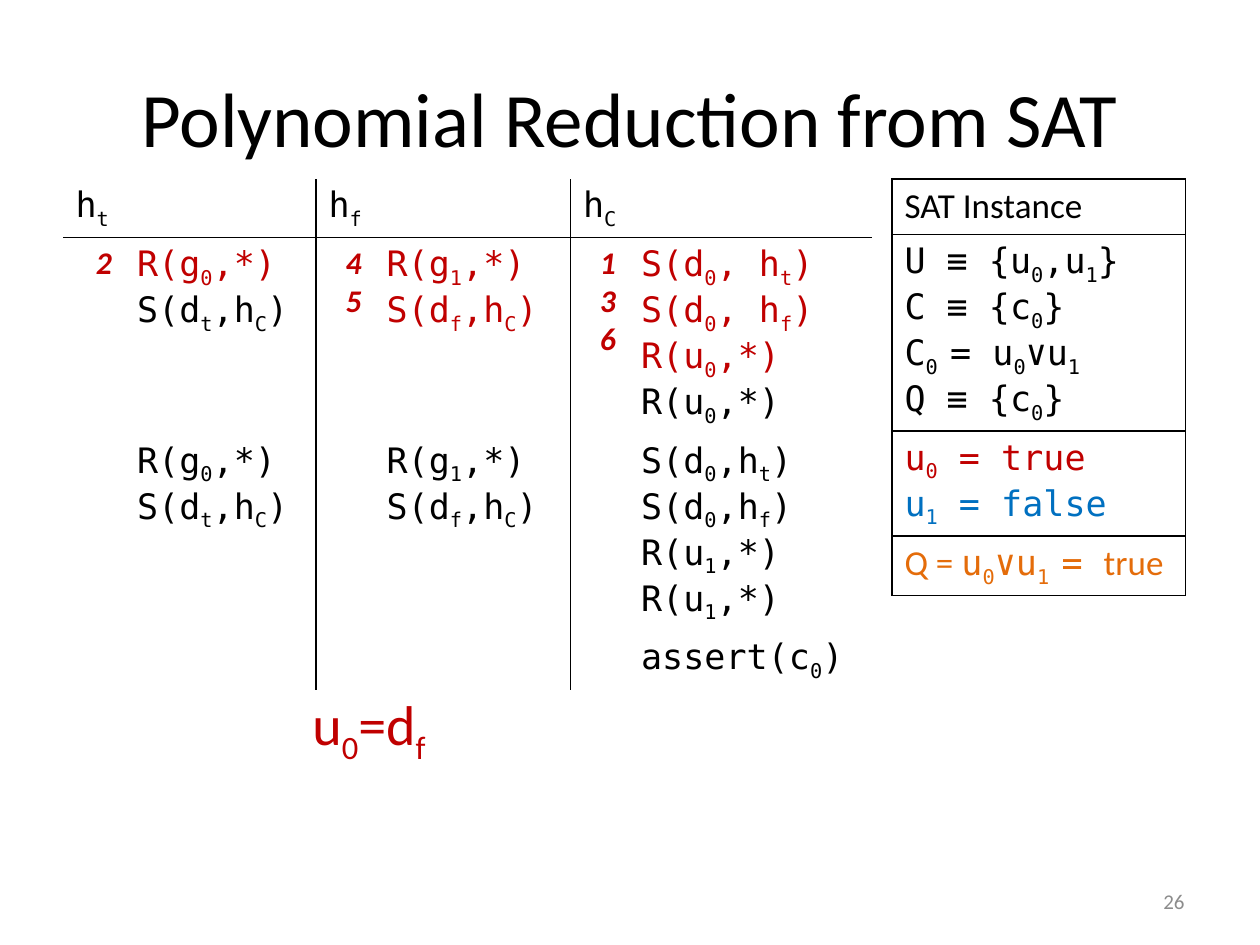
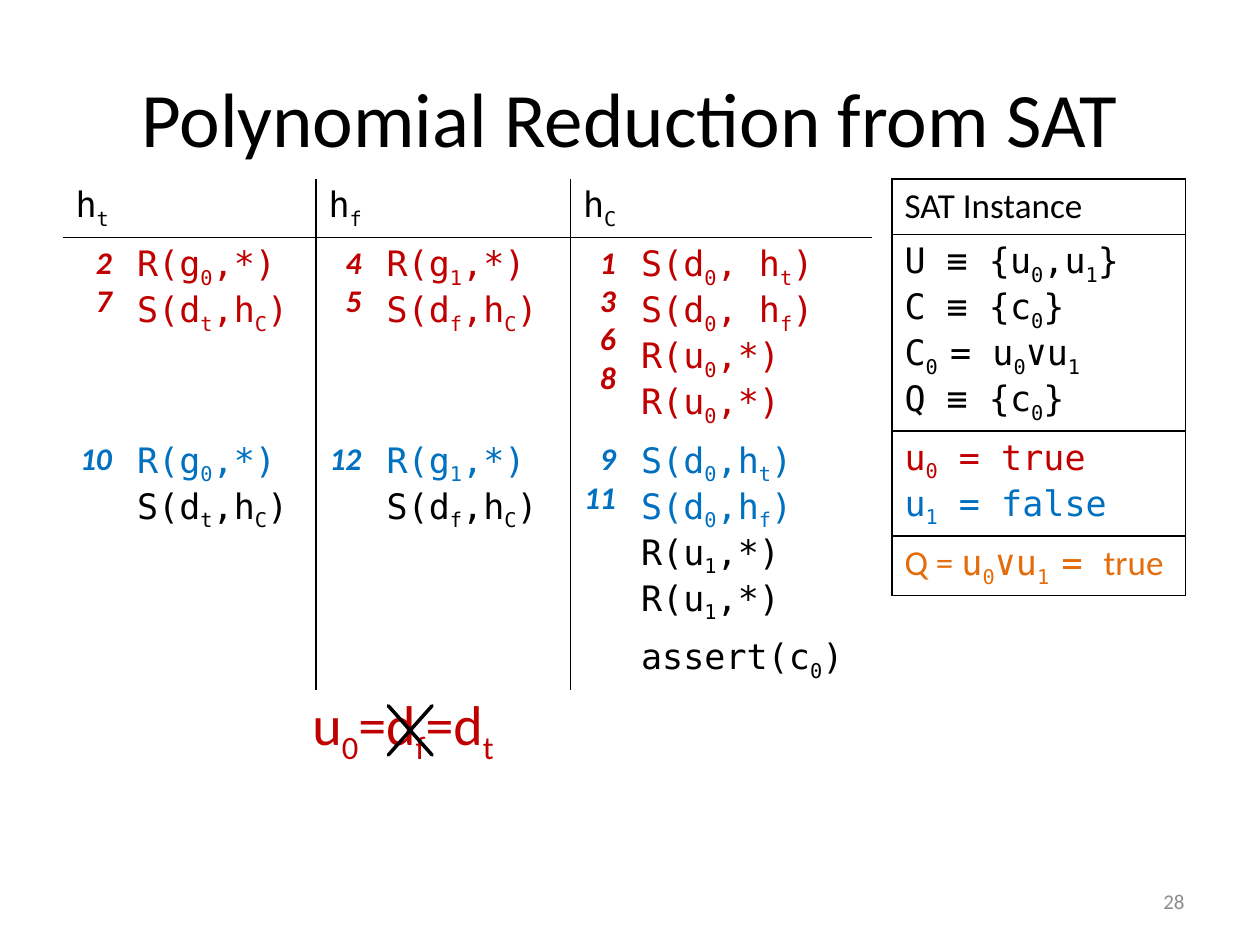
from dataclasses import dataclass
from typing import NamedTuple

from lxml import etree
from pptx import Presentation
from pptx.dml.color import RGBColor
from pptx.enum.shapes import MSO_SHAPE
from pptx.enum.text import MSO_ANCHOR, MSO_AUTO_SIZE, PP_ALIGN
from pptx.oxml.ns import qn
from pptx.util import Cm, Pt

COLOURS = {
    "black": "000000",
    "grey": "8C8C8C",
    "red": "C00000",
    "blue": "0070C0",
    "orange": "E46C0A",
}
STYLES = {
    "title": {"name": "Calibri", "size": Pt(44)},
    "number": {"name": "Calibri", "size": Pt(12)},
    "note": {"name": "Calibri", "size": Pt(32)},
    "label": {"name": "Calibri", "size": Pt(20)},
    "code": {"name": "DejaVu Sans Mono", "size": Pt(20)},
    "step": {"name": "Calibri", "size": Pt(18), "bold": True, "italic": True},
}


class Span(NamedTuple):
    """Text in one style; subscripts stand between tildes."""
    text: str
    style: str = "code"
    colour: str = "black"


class Box(NamedTuple):
    left: float
    top: float
    width: float
    height: float

    def lengths(self) -> list:
        return [Cm(v) for v in self]


@dataclass
class State:
    """Numbered steps done so far, per thread and per block of its code."""
    number: str
    steps: list
    note: str
    struck: bool = False


Line = list[Span]

TITLE = "Polynomial Reduction from SAT"
TITLE_BOX = Box(1.27, 0.76, 22.86, 3.18)
NUMBER_BOX = Box(18.21, 17.65, 5.92, 1.02)
NOTE_BOX = Box(6.05, 13.77, 13.34, 1.63)
CROSS_BOX = Box(7.42, 13.77, 1.7, 1.91)

SAT_BOX = Box(17.98, 3.61, 5.92, 7.8)
SAT_ROWS = [0.91, 2.77, 1.35, 0.89]
SAT_CELLS = [
    [[Span("SAT Instance", "label")]],
    [[Span(t)] for t in ("U ≡ {u~0~,u~1~}", "C ≡ {c~0~}",
                         "C~0 ~= u~0~∨u~1~", "Q ≡ {c~0~}")],
    [[Span("u~0~ = true", colour="red")],
     [Span("u~1~ = false", colour="blue")]],
    [[Span("Q = ", "label", "orange"),
      Span("u~0~∨u~1 ~= ", "code", "orange"),
      Span("true", "label", "orange")]],
]

THREADS_BOX = Box(1.27, 3.61, 16.31, 9.53)
THREADS_COLS = [1.24, 3.86, 1.17, 3.96, 1.17, 4.9]
THREADS_ROWS = [0.99, 3.28, 3.28, 1.14]
BLOCK_COLOURS = ["red", "blue", "black"]
HT_CODE = ["R(g~0~,*)", "S(d~t~,h~C~)"]
HF_CODE = ["R(g~1~,*)", "S(d~f~,h~C~)"]
THREADS = {
    "h~t~": [HT_CODE, HT_CODE, []],
    "h~f~": [HF_CODE, HF_CODE, []],
    "h~C~": [
        ["S(d~0~, h~t~)", "S(d~0~, h~f~)", "R(u~0~,*)", "R(u~0~,*)"],
        ["S(d~0~,h~t~)", "S(d~0~,h~f~)", "R(u~1~,*)", "R(u~1~,*)"],
        ["assert(c~0~)"],
    ],
}

STATES = [
    State("26", [[[2], [], []], [[4, 5], [], []], [[1, 3, 6], [], []]],
          "u~0~=d~f~"),
    State("28", [[[2, 7], [10], []], [[4, 5], [12], []],
                 [[1, 3, 6, 8], [9, 11], []]],
          "u~0~=d~f~=d~t~", struck=True),
]


def rgb(colour: str) -> RGBColor:
    return RGBColor.from_string(COLOURS[colour])


def write(tf, lines: list[Line], align=PP_ALIGN.LEFT) -> None:
    for i, line in enumerate(lines):
        p = tf.add_paragraph() if i else tf.paragraphs[0]
        p.alignment = align
        for span in line:
            for j, piece in enumerate(span.text.split("~")):
                if not piece:
                    continue
                r = p.add_run()
                r.text = piece
                for key, value in STYLES[span.style].items():
                    setattr(r.font, key, value)
                r.font.color.rgb = rgb(span.colour)
                if j % 2:
                    r._r.get_or_add_rPr().set("baseline", "-25000")


def set_borders(cell, drawn: str) -> None:
    """Draw the sides named in `drawn` (of L, R, T, B) and clear the rest."""
    tc_pr = cell._tc.get_or_add_tcPr()
    for side in "LRTB":
        ln = etree.SubElement(tc_pr, qn(f"a:ln{side}"), w=str(Pt(1)))
        if side in drawn:
            fill = etree.SubElement(ln, qn("a:solidFill"))
            etree.SubElement(fill, qn("a:srgbClr"), val=COLOURS["black"])
        else:
            etree.SubElement(ln, qn("a:noFill"))
    cell.fill.background()


def add_plain_table(s, box: Box, cols: list[float], rows: list[float]):
    frame = s.shapes.add_table(len(rows), len(cols), *box.lengths())
    table = frame.table
    table.first_row = table.horz_banding = False
    for col, width in zip(table.columns, cols):
        col.width = Cm(width)
    for row, height in zip(table.rows, rows):
        row.height = Cm(height)
    frame.height = Cm(box.height)
    return table


def add_text(s, box: Box, span: Span, align=PP_ALIGN.LEFT,
             anchor=MSO_ANCHOR.TOP, autosize=MSO_AUTO_SIZE.NONE) -> None:
    tf = s.shapes.add_textbox(*box.lengths()).text_frame
    tf.word_wrap = True
    tf.vertical_anchor = anchor
    tf.auto_size = autosize
    write(tf, [[span]], align)


def add_title(s) -> None:
    sp = s.shapes.title
    sp.left, sp.top, sp.width, sp.height = TITLE_BOX.lengths()
    sp.text_frame.vertical_anchor = MSO_ANCHOR.MIDDLE
    write(sp.text_frame, [[Span(TITLE, "title")]], PP_ALIGN.CENTER)


def add_sat_table(s) -> None:
    table = add_plain_table(s, SAT_BOX, [SAT_BOX.width], SAT_ROWS)
    for row, lines in enumerate(SAT_CELLS):
        cell = table.cell(row, 0)
        set_borders(cell, "LRTB")
        write(cell.text_frame, lines)


def thread_borders(row: int, col: int) -> str:
    sides = {0: "B", 1: "T"}.get(row, "")
    if col < 4 and (row == 0 or col % 2):
        sides += "R"
    if col > 0 and col % 2 == 0:
        sides += "L"
    return sides


def add_threads_table(s, steps: list) -> None:
    """Each thread has a step column and a code column; done code is coloured."""
    table = add_plain_table(s, THREADS_BOX, THREADS_COLS, THREADS_ROWS)
    for row in range(len(THREADS_ROWS)):
        for col in range(len(THREADS_COLS)):
            set_borders(table.cell(row, col), thread_borders(row, col))
    for i, (name, blocks) in enumerate(THREADS.items()):
        col = 2 * i
        head = table.cell(0, col)
        head.merge(table.cell(0, col + 1))
        write(head.text_frame, [[Span(name)]])
        rows = zip(blocks, steps[i], BLOCK_COLOURS)
        for row, (code, done, colour) in enumerate(rows, start=1):
            write(table.cell(row, col).text_frame,
                  [[Span(str(n), "step", colour)] for n in done],
                  PP_ALIGN.RIGHT)
            write(table.cell(row, col + 1).text_frame,
                  [[Span(t, "code", colour if k < len(done) else "black")]
                   for k, t in enumerate(code)])


def add_cross(s) -> None:
    sp = s.shapes.add_shape(MSO_SHAPE.MATH_MULTIPLY, *CROSS_BOX.lengths())
    sp.adjustments[0] = 0
    sp.shadow.inherit = False
    sp.fill.solid()
    sp.fill.fore_color.rgb = rgb("black")
    sp.line.color.rgb = rgb("black")
    sp.line.width = Pt(2)


def add_state_slide(prs, state: State) -> None:
    s = prs.slides.add_slide(prs.slide_layouts.get_by_name("Title Only"))
    add_title(s)
    add_text(s, NUMBER_BOX, Span(state.number, "number", "grey"),
             PP_ALIGN.RIGHT, MSO_ANCHOR.MIDDLE)
    add_sat_table(s)
    add_threads_table(s, state.steps)
    add_text(s, NOTE_BOX, Span(state.note, "note", "red"),
             autosize=MSO_AUTO_SIZE.SHAPE_TO_FIT_TEXT)
    if state.struck:
        add_cross(s)


def main() -> None:
    prs = Presentation()
    prs.slide_width, prs.slide_height = Cm(25.4), Cm(19.05)
    for state in STATES:
        add_state_slide(prs, state)
    prs.save("out.pptx")


if __name__ == "__main__":
    main()
